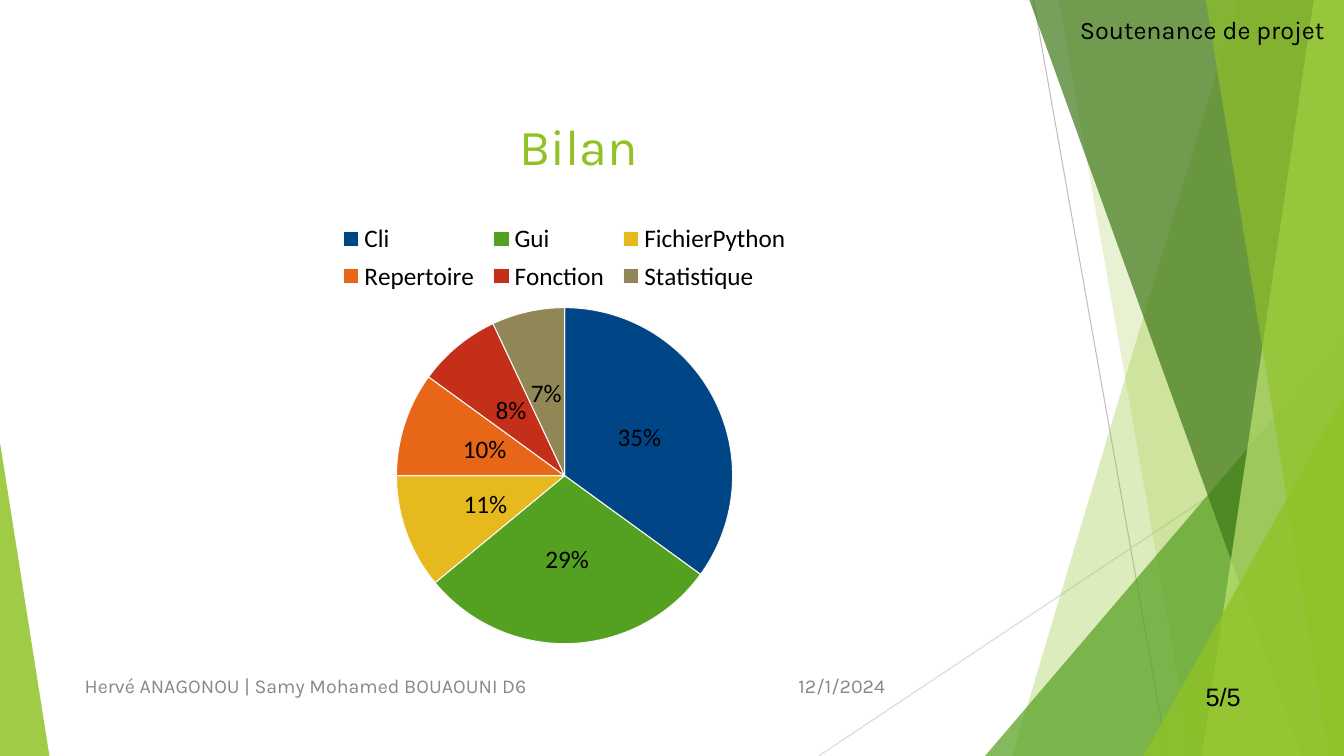
from lxml import etree
from pptx import Presentation
from pptx.chart.data import CategoryChartData
from pptx.dml.color import RGBColor
from pptx.enum.chart import XL_CHART_TYPE, XL_LABEL_POSITION, XL_LEGEND_POSITION
from pptx.enum.shapes import MSO_CONNECTOR
from pptx.enum.text import MSO_ANCHOR, PP_ALIGN
from pptx.oxml import parse_xml
from pptx.oxml.ns import nsdecls, qn
from pptx.util import Inches, Pt

PIE = XL_CHART_TYPE.PIE
CENTRE_LABEL = XL_LABEL_POSITION.CENTER
TOP_LEGEND = XL_LEGEND_POSITION.TOP
STRAIGHT = MSO_CONNECTOR.STRAIGHT
TOP, MIDDLE = MSO_ANCHOR.TOP, MSO_ANCHOR.MIDDLE
LEFT, CENTER, RIGHT = PP_ALIGN.LEFT, PP_ALIGN.CENTER, PP_ALIGN.RIGHT

WIDE, HIGH = 13.33, 7.5
BLACK = RGBColor(0x00, 0x00, 0x00)
GREY = RGBColor(0x88, 0x88, 0x88)
SILVER = RGBColor(0xBF, 0xBF, 0xBF)
PALE = RGBColor(0xD9, 0xD9, 0xD9)
WHITE = RGBColor(0xF9, 0xF9, 0xF9)
LIME = RGBColor(0x90, 0xC2, 0x26)
GREEN = RGBColor(0x54, 0xA0, 0x21)
FOREST = RGBColor(0x3F, 0x78, 0x19)
MINT = RGBColor(0xC0, 0xE4, 0x74)
BLUE = RGBColor(0x00, 0x45, 0x86)
GOLD = RGBColor(0xE6, 0xB9, 0x1E)
ORANGE = RGBColor(0xE7, 0x66, 0x18)
RED = RGBColor(0xC4, 0x2F, 0x1A)
KHAKI = RGBColor(0x91, 0x86, 0x55)

# Category, percentage, slice colour
SHARES = [("Cli", 35, BLUE), ("Gui", 29, GREEN), ("FichierPython", 11, GOLD),
          ("Repertoire", 10, ORANGE), ("Fonction", 8, RED), ("Statistique", 7, KHAKI)]


def set_font(font, size, name, color):
    font.size, font.name = Pt(size), name
    font.color.rgb = color


def write(frame, text, size=14, font="Karla", color=GREY, align=LEFT,
          anchor=TOP, pad=(0.05, 0.05), wrap=True):
    frame.word_wrap = wrap
    frame.vertical_anchor = anchor
    frame.margin_left = frame.margin_right = Inches(pad[0])
    frame.margin_top = frame.margin_bottom = Inches(pad[1])
    para = frame.paragraphs[0]
    para.alignment = align
    run = para.add_run()
    run.text = text
    set_font(run.font, size, font, color)


def place(part, index, box, target=""):
    """Fix a chart part at x, y, width, height, as shares of the chart."""
    for old in part.findall(qn("c:layout")):
        part.remove(old)
    rows = target + '<c:xMode val="edge"/><c:yMode val="edge"/>'
    rows += "".join(f'<c:{key} val="{val}"/>' for key, val in zip("xywh", box))
    part.insert(index, parse_xml(f'<c:layout {nsdecls("c")}><c:manualLayout>{rows}'
                                 '</c:manualLayout></c:layout>'))


class Deck:
    def __init__(self):
        self.file = Presentation()
        self.file.slide_width, self.file.slide_height = Inches(WIDE), Inches(HIGH)
        self.slide = self.file.slides.add_slide(self.file.slide_layouts[5])
        self.shapes = self.slide.shapes

    def title(self, text, box, **style):
        head = self.shapes.title
        head.left, head.top, head.width, head.height = map(Inches, box)
        write(head.text_frame, text, **style)

    def text(self, text, box, **style):
        write(self.shapes.add_textbox(*map(Inches, box)).text_frame, text, **style)

    def line(self, start, end, color):
        line = self.shapes.add_connector(STRAIGHT, *map(Inches, start + end))
        line.line.color.rgb, line.line.width = color, Pt(0.75)
        etree.SubElement(line._element.spPr, qn("a:effectLst"))

    def facet(self, points, color, alpha):
        spots = [(Inches(x), Inches(y)) for x, y in points]
        pen = self.shapes.build_freeform(*spots[0])
        pen.add_line_segments(spots[1:], close=True)
        shape = pen.convert_to_shape()
        shape.shadow.inherit = False
        shape.line.fill.background()
        shape.fill.solid()
        shape.fill.fore_color.rgb = color
        tint = shape._element.spPr.find(".//" + qn("a:srgbClr"))
        etree.SubElement(tint, qn("a:alpha"), val=str(alpha * 1000))

    def pie(self, shares, box, plot_box, key_box):
        data = CategoryChartData()
        data.categories = [name for name, _, _ in shares]
        data.add_series("Series 1", [value for _, value, _ in shares])
        chart = self.shapes.add_chart(PIE, *map(Inches, box), data).chart
        set_font(chart.font, 10, "Arial", BLACK)
        chart.has_title = False
        chart.has_legend = True
        chart.legend.position = TOP_LEGEND
        chart.legend.include_in_layout = True
        set_font(chart.legend.font, 18, "Calibri", BLACK)

        plot = chart.plots[0]
        plot.vary_by_categories = True
        for i, (_, _, color) in enumerate(shares):
            form = plot.series[0].points[i].format
            form.fill.solid()
            form.fill.fore_color.rgb = color
            form.line.color.rgb, form.line.width = WHITE, Pt(0.75)

        plot.has_data_labels = True
        labels = plot.data_labels
        labels.show_percentage, labels.show_value = True, False
        labels.number_format, labels.number_format_is_linked = "#,##0%", False
        labels.position = CENTRE_LABEL
        set_font(labels.font, 18, "Calibri", BLACK)

        # Legend in two rows above the pie
        space = chart._chartSpace
        place(space.find(".//" + qn("c:plotArea")), 0, plot_box,
              '<c:layoutTarget val="inner"/>')
        place(space.find(".//" + qn("c:legend")), 1, key_box)


def main():
    deck = Deck()

    # Background lines
    deck.line((10.25, 0), (11.58, HIGH), SILVER)
    deck.line((WIDE, 4.03), (8.12, HIGH), PALE)

    # Green facets, all reaching the lower right corner
    corner = (WIDE, HIGH)

    def band(top, foot, color, alpha):
        deck.facet([(top, 0), (WIDE, 0), corner, (foot, HIGH)], color, alpha)

    def wedge(foot, peak, color, alpha):
        deck.facet([(foot, HIGH), (WIDE, peak), corner], color, alpha)

    band(12.28, 10.04, LIME, 30)
    band(10.5, 11.82, LIME, 20)
    wedge(9.77, 3.33, GREEN, 72)
    band(10.21, 12.91, FOREST, 70)
    band(13.03, 11.92, MINT, 70)
    band(11.96, 13.18, LIME, 65)
    wedge(11.34, 3.93, LIME, 80)

    # Facet in the lower left corner
    deck.facet([(0, HIGH), (0, 4.39), (0.49, HIGH)], LIME, 85)

    # Heading and chart
    deck.title("Bilan", (3.23, 1.14, 5.02, 0.8), size=36, color=LIME,
               align=CENTER, pad=(0.05, 0))
    deck.text("Soutenance de projet", (10.66, 0.09, 2.62, 0.4), size=18, color=BLACK)
    deck.pie(SHARES, (3.25, 2.1, 4.7, 4.33), (0.14, 0.22, 0.72, 0.77),
             (0.01, 0.01, 0.98, 0.19))

    # Footer
    deck.text("Hervé ANAGONOU | Samy Mohamed BOUAOUNI D6", (0.79, 6.64, 6.79, 0.33),
              anchor=MIDDLE)
    deck.text("12/1/2024", (7.68, 6.64, 1.15, 0.33), align=RIGHT, anchor=MIDDLE)
    deck.text("5/5", (11.86, 6.71, 0.55, 0.38), size=18, font="Arial", color=BLACK,
              pad=(0.1, 0.05), wrap=False)

    deck.file.save("out.pptx")


if __name__ == "__main__":
    main()
